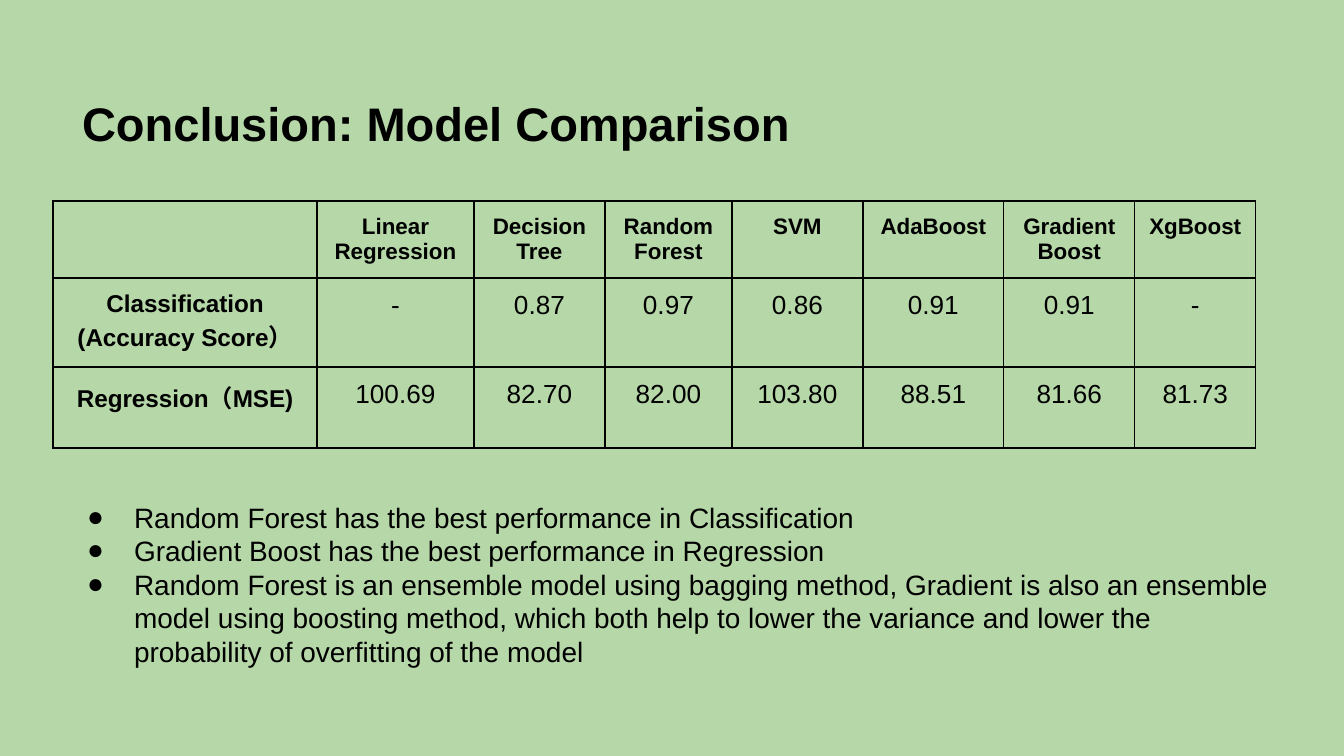
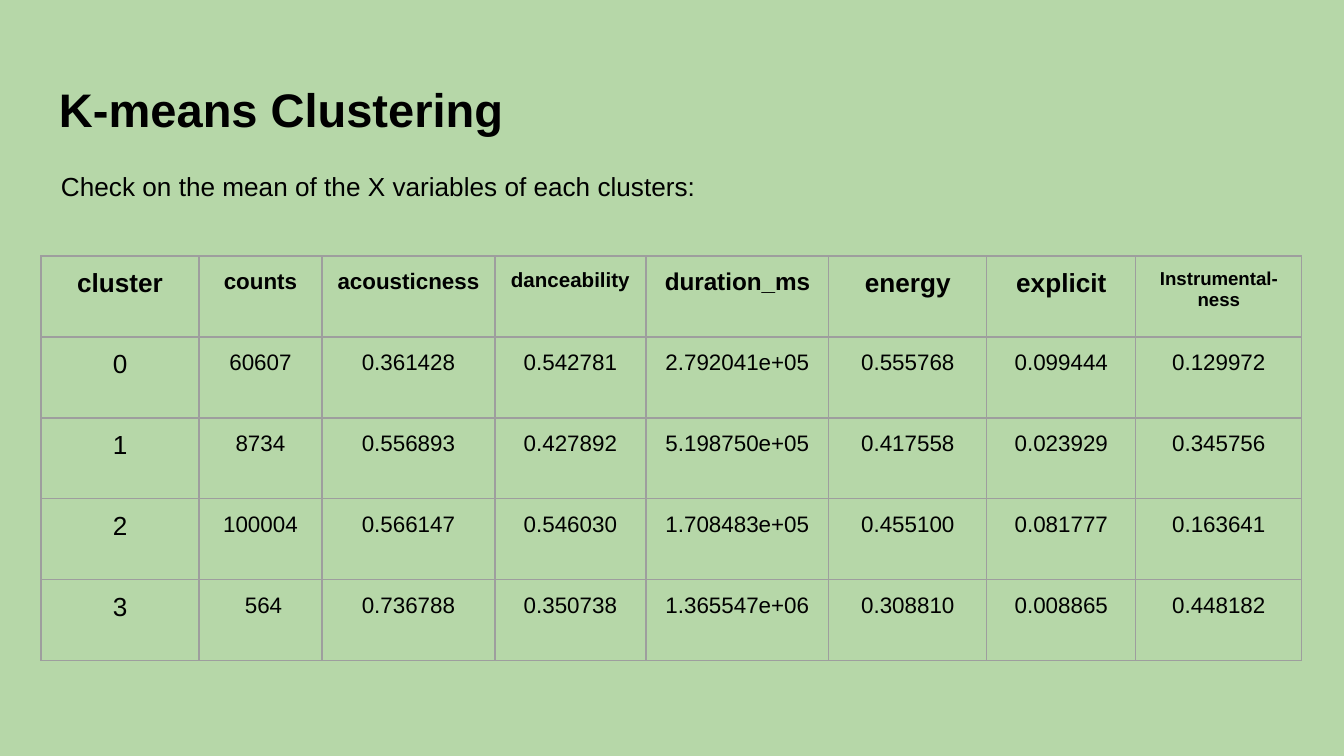
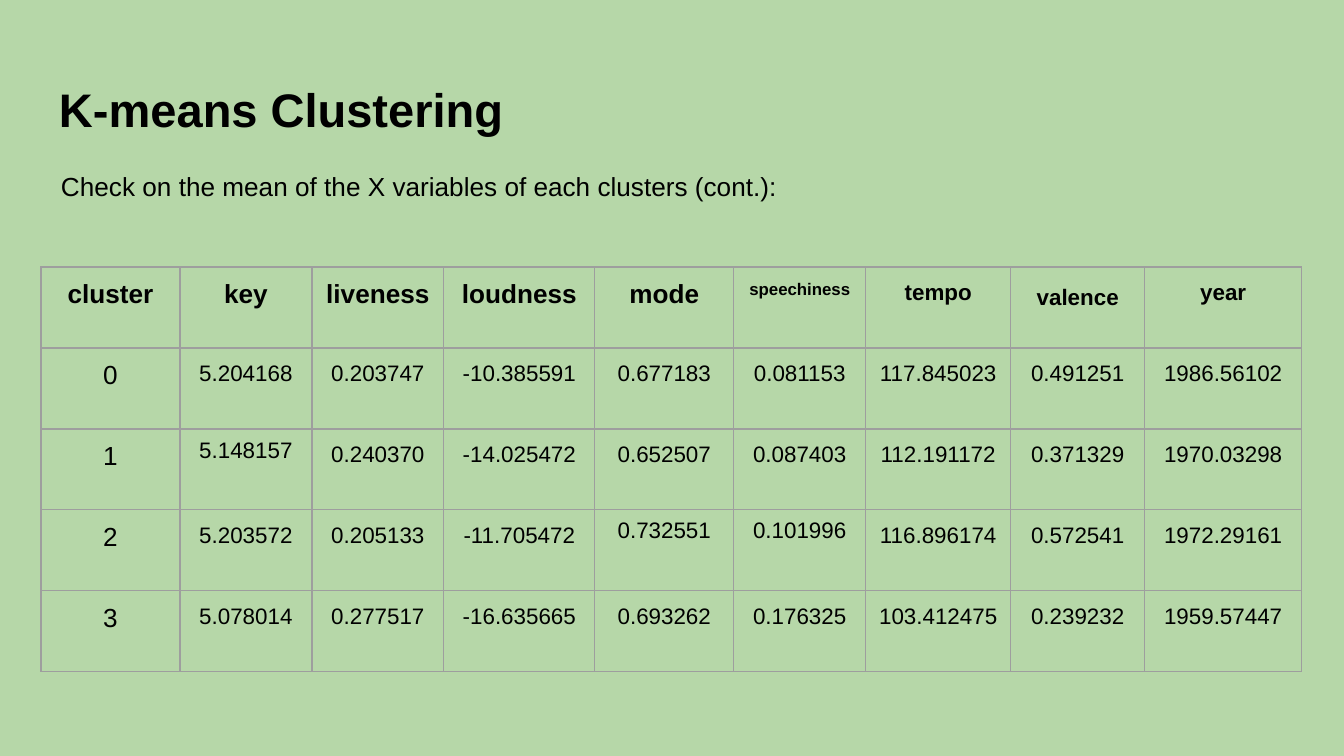
from lxml.etree import SubElement
from pptx import Presentation
from pptx.dml.color import RGBColor
from pptx.enum.text import MSO_ANCHOR, MSO_AUTO_SIZE, PP_ALIGN
from pptx.oxml.ns import qn
from pptx.util import Pt

PX = 914400 / 134.4
FONT = "Arial"
PAD = 13
HUE = {"back": "B6D7A8", "ink": "000000", "grid": "9E9E9E"}
TOP, MID = MSO_ANCHOR.TOP, MSO_ANCHOR.MIDDLE

POINTS = [
    "Random Forest has the best performance in Classification",
    "Gradient Boost has the best performance in Regression",
    "Random Forest is an ensemble model using bagging method, Gradient is also "
    "an ensemble model using boosting method, which both help to lower the "
    "variance and lower the probability of overfitting of the model",
]

SCORES = {
    "at": (53, 201), "line": "ink",
    "cols": [264, 157, 131, 127, 131, 141, 131, 121], "rows": [77, 89, 81],
    "lead": (13, True), "size": 14,
    "head": [("", 12), ("Linear\nRegression", 12), ("Decision\nTree", 12),
             ("Random\nForest", 12), ("SVM", 12), ("AdaBoost", 12),
             ("Gradient Boost", 12), ("XgBoost", 12)],
    "body": [
        ["Classification\n(Accuracy Score）", "-", "0.87", "0.97", "0.86", "0.91", "0.91", "-"],
        ["Regression（MSE)", "100.69", "82.70", "82.00", "103.80", "88.51", "81.66", "81.73"],
    ],
    "loose": {},
}

MEANS = {
    "at": (41, 256), "line": "grid",
    "cols": [158, 123, 173, 151, 183, 158, 149, 166], "rows": [81] * 5,
    "lead": (14, False), "size": 12,
    "head": [("cluster", 14), ("counts", 12), ("acousticness", 12),
             ("danceability", 11), ("duration_ms", 13), ("energy", 14),
             ("explicit", 14), ("Instrumental-\nness", 10)],
    "body": [
        ["0", "60607", "0.361428", "0.542781", "2.792041e+05", "0.555768", "0.099444", "0.129972"],
        ["1", "8734", "0.556893", "0.427892", "5.198750e+05", "0.417558", "0.023929", "0.345756"],
        ["2", "100004", "0.566147", "0.546030", "1.708483e+05", "0.455100", "0.081777", "0.163641"],
        ["3", " 564", "0.736788", "0.350738", "1.365547e+06", "0.308810", "0.008865", "0.448182"],
    ],
    "loose": {},
}

MORE = {
    "at": (41, 267), "line": "grid",
    "cols": [139, 132, 132, 151, 139, 132, 145, 134, 157], "rows": [81] * 5,
    "lead": (14, False), "size": 12,
    "head": [("cluster", 14), ("key", 14), ("liveness", 14), ("loudness", 14),
             ("mode", 14), ("speechiness", 9), ("tempo", 12), ("valence", 12),
             ("year", 12)],
    "body": [
        ["0", "5.204168", "0.203747", "-10.385591", "0.677183", "0.081153",
         "117.845023", "0.491251", "1986.56102"],
        ["1", "5.148157", "0.240370", "-14.025472", "0.652507", "0.087403",
         "112.191172", "0.371329", "1970.03298"],
        ["2", "5.203572", "0.205133", "-11.705472", "0.732551", "0.101996",
         "116.896174", "0.572541", "1972.29161"],
        ["3", "5.078014", "0.277517", "-16.635665", "0.693262", "0.176325",
         "103.412475", "0.239232", "1959.57447"],
    ],
    "loose": {(0, 7): (MID, 29), (2, 1): (TOP, 5), (3, 4): (TOP, 5), (3, 5): (TOP, 5)},
}

CLUSTERS = [
    ("Check on the mean of the X variables of each clusters:", MEANS),
    ("Check on the mean of the X variables of each clusters (cont.):", MORE),
]


def px(n):
    return round(n * PX)


def color(name):
    return RGBColor.from_string(HUE[name])


def style(para, size, bold=False, align=PP_ALIGN.LEFT):
    para.alignment = align
    para.space_before = para.space_after = Pt(0)
    for run in para.runs:
        font = run.font
        font.name, font.size, font.bold = FONT, Pt(size), bold
        font.color.rgb = color("ink")


def pad(item, sides):
    item.margin_left, item.margin_top, item.margin_right, item.margin_bottom = map(px, sides)


def write(shape, box, text, size, bold=False, anchor=TOP):
    shape.left, shape.top, shape.width, shape.height = map(px, box)
    frame = shape.text_frame
    frame.text = text
    frame.word_wrap = True
    frame.auto_size = MSO_AUTO_SIZE.NONE
    frame.vertical_anchor = anchor
    pad(frame, [PAD] * 4)
    for para in frame.paragraphs:
        style(para, size, bold)
    return frame


def bullet(para):
    props = para._p.get_or_add_pPr()
    props.set("marL", str(px(67)))
    props.set("indent", str(px(-47)))
    tint = SubElement(props, qn("a:buClr"))
    SubElement(tint, qn("a:srgbClr"), val=HUE["ink"])
    SubElement(props, qn("a:buFont"), typeface=FONT)
    SubElement(props, qn("a:buChar"), char="●")


def border(cell, name):
    props = cell._tc.get_or_add_tcPr()
    for side in ("lnL", "lnR", "lnT", "lnB"):
        line = SubElement(props, qn("a:" + side), w=str(Pt(0.75)))
        fill = SubElement(line, qn("a:solidFill"))
        SubElement(fill, qn("a:srgbClr"), val=HUE[name])


def grid(slide, data):
    cols, rows = data["cols"], data["rows"]
    box = (*data["at"], sum(cols), sum(rows))
    table = slide.shapes.add_table(len(rows), len(cols), *map(px, box)).table
    table.first_row = table.horz_banding = False
    for col, width in zip(table.columns, cols):
        col.width = px(width)
    for row, height in zip(table.rows, rows):
        row.height = px(height)
    cells = [[(text, size, True) for text, size in data["head"]]]
    for first, *rest in data["body"]:
        cells.append([(first, *data["lead"])] + [(text, data["size"], False) for text in rest])
    for r, line in enumerate(cells):
        for c, (text, size, bold) in enumerate(line):
            cell = table.cell(r, c)
            border(cell, data["line"])
            cell.fill.background()
            pad(cell, [PAD] * 4)
            cell.text_frame.text = text
            for para in cell.text_frame.paragraphs:
                style(para, size, bold, PP_ALIGN.CENTER)
            if (r, c) in data["loose"]:
                anchor, low = data["loose"][r, c]
                cell.vertical_anchor = anchor
                pad(cell, (11, 5, 11, low))
                cell.text_frame.paragraphs[0].line_spacing = 1.15


def page(deck, layout, title, box):
    slide = deck.slides.add_slide(deck.slide_layouts[layout])
    write(slide.shapes.title, box, title, 25.2, True, MID)
    return slide


def main():
    deck = Presentation()
    deck.slide_width, deck.slide_height = px(1344), px(756)
    back = deck.slide_master.background.fill
    back.solid()
    back.fore_color.rgb = color("back")

    slide = page(deck, 1, "Conclusion: Model Comparison", (69, 80, 1245, 85))
    grid(slide, SCORES)
    frame = write(slide.placeholders[1], (54, 487, 1236, 228), "\n".join(POINTS), 15)
    for para in frame.paragraphs:
        bullet(para)

    for note, data in CLUSTERS:
        slide = page(deck, 5, "K-means Clustering", (46, 66, 1253, 85))
        grid(slide, data)
        write(slide.shapes.add_textbox(0, 0, 0, 0), (48, 157, 841, 59), note, 14)

    deck.save("out.pptx")


if __name__ == "__main__":
    main()
